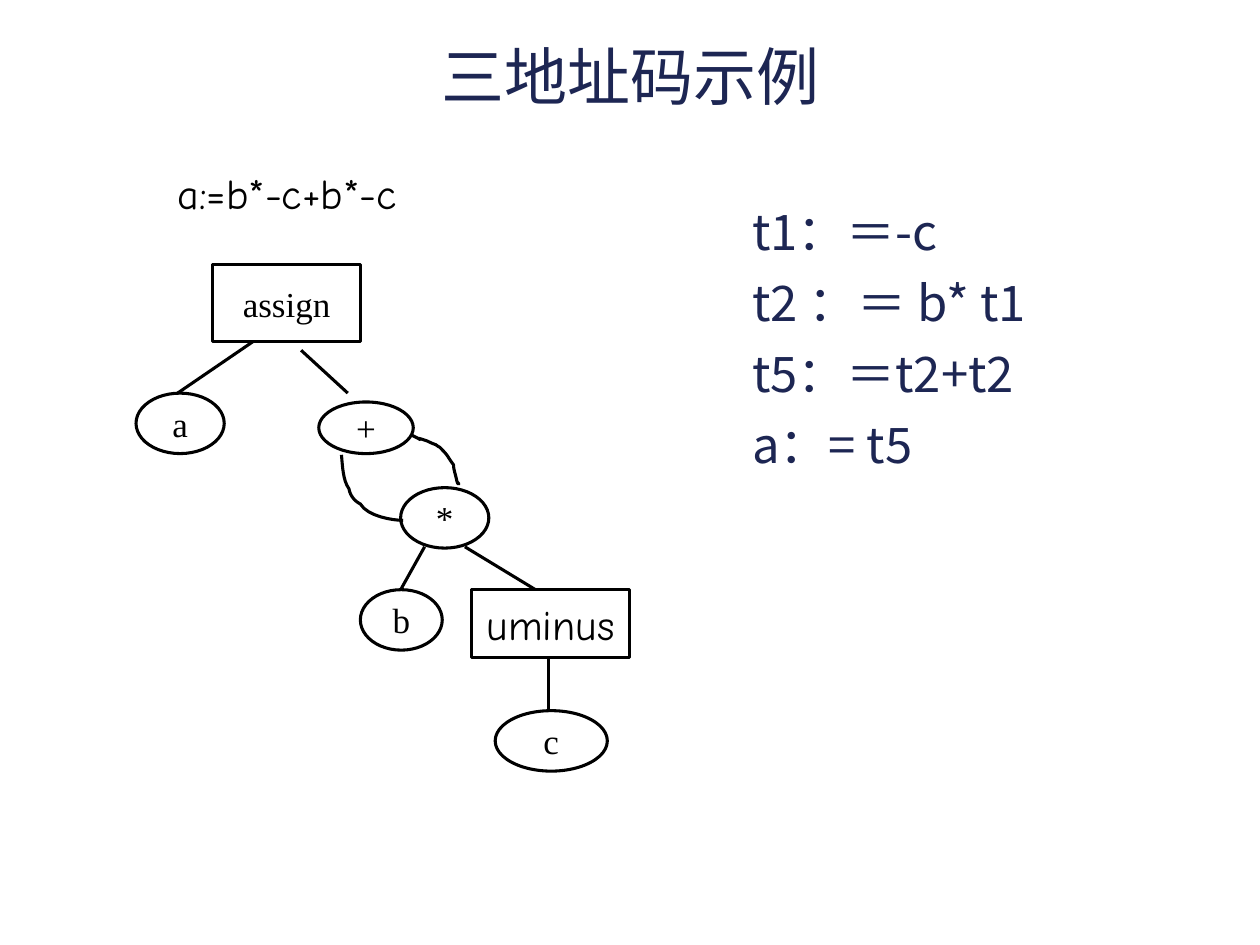
from typing import NamedTuple

from pptx import Presentation
from pptx.dml.color import RGBColor
from pptx.enum.shapes import MSO_CONNECTOR as Link, MSO_SHAPE as Shape
from pptx.enum.text import MSO_ANCHOR as Anchor, PP_ALIGN as Align
from pptx.oxml.ns import qn
from pptx.util import Emu, Inches, Pt
from lxml.etree import SubElement

COLS = 100
UNIT = Inches(10) // COLS
BLACK, WHITE, NAVY = "000000", "FFFFFF", "1D2653"
SERIF, COMIC, SANS = "Times New Roman", "Comic Neue", "Noto Sans CJK SC"
Point = tuple[float, float]


class Node(NamedTuple):
    text: str
    col: float
    row: float
    cols: float
    rows: float = 4.8
    kind: Shape = Shape.OVAL
    font: str = SERIF
    size: int = 20


class Edge(NamedTuple):
    start: Point
    end: Point


class Curve(NamedTuple):
    start: Point
    segments: list[tuple[Point, Point, Point]]


NODES = [
    Node("assign", 16.9, 21, 11.7, 6.1, Shape.RECTANGLE),
    Node("a", 10.8, 31.2, 7),
    Node("+", 25.3, 31.9, 7.5, 4.1),
    Node("*", 31.8, 38.7, 7),
    Node("b", 28.6, 46.8, 6.5),
    Node("c", 39.3, 56.4, 8.9),
    Node("uminus", 37.4, 46.8, 12.6, 5.4, Shape.RECTANGLE, COMIC, 24),
]
EDGES = [
    Edge((20.1, 27.1), (14.1, 31.2)),
    Edge((23.9, 27.8), (27.6, 31.2)),
    Edge((33.7, 43.4), (31.8, 46.8)),
    Edge((36.9, 43.4), (42.5, 46.8)),
    Edge((43.5, 52.3), (43.5, 56.4)),
]
CURVES = [
    Curve((27.1, 36.1), [
        ((27.2, 37), (27.2, 38.1), (27.7, 38.8)),
        ((27.8, 39.4), (28.2, 39.8), (28.6, 40)),
        ((29.2, 41), (31.2, 41.3), (32, 41.3)),
    ]),
    Curve((32.6, 34.5), [
        ((34.4, 35.4), (32.2, 34.4), (33.9, 35)),
        ((34.1, 35.1), (34.3, 35.2), (34.6, 35.3)),
        ((34.7, 35.4), (34.9, 35.5), (34.9, 35.5)),
        ((35.7, 36.3), (35.4, 36.1), (36, 36.9)),
        ((36, 37.2), (36.1, 37.5), (36.2, 37.9)),
        ((36.4, 38.9), (36.4, 38), (36.4, 38.5)),
    ]),
]
CODE = ["t1：＝-c", "t2 ：＝ b* t1", "t5：＝t2+t2", "a：= t5"]


def grid(*values: float) -> list[Emu]:
    return [Emu(round(v * UNIT)) for v in values]


def rgb(color: str) -> RGBColor:
    return RGBColor.from_string(color)


def set_font(p, name: str, size: int, color: str) -> None:
    p.font.name, p.font.size = name, Pt(size)
    p.font.color.rgb = rgb(color)


def set_line(sp) -> None:
    sp.line.color.rgb = rgb(BLACK)
    sp.line.width = Pt(1.75)


def draw_node(shapes, node: Node) -> None:
    sp = shapes.add_shape(node.kind, *grid(node.col, node.row, node.cols, node.rows))
    sp.shadow.inherit = False
    sp.fill.solid()
    sp.fill.fore_color.rgb = rgb(WHITE)
    set_line(sp)
    tf = sp.text_frame
    tf.word_wrap, tf.vertical_anchor = False, Anchor.MIDDLE
    p = tf.paragraphs[0]
    p.text, p.alignment = node.text, Align.CENTER
    set_font(p, node.font, node.size, BLACK)


def draw_edge(shapes, edge: Edge) -> None:
    sp = shapes.add_connector(Link.STRAIGHT, *grid(*edge.start, *edge.end))
    set_line(sp)
    SubElement(sp._element.spPr, qn("a:effectLst"))


def bezier(a: Point, b: Point, c: Point, d: Point, t: float) -> list[Emu]:
    u = 1 - t
    return grid(*(u**3 * w + 3 * u * u * t * x + 3 * u * t * t * y + t**3 * z
                  for w, x, y, z in zip(a, b, c, d)))


def draw_curve(shapes, curve: Curve, steps: int = 8) -> None:
    points, start = [], curve.start
    for b, c, d in curve.segments:
        points += [bezier(start, b, c, d, i / steps) for i in range(1, steps + 1)]
        start = d
    builder = shapes.build_freeform(*grid(*curve.start))
    builder.add_line_segments(points, close=False)
    sp = builder.convert_to_shape()
    sp.shadow.inherit = False
    sp.fill.background()
    set_line(sp)


def add_text(shapes, box: tuple[float, ...], lines: list[str], font: str,
             size: int, color: str, wrap: bool):
    tf = shapes.add_textbox(*grid(*box)).text_frame
    tf.word_wrap = wrap
    for i, line in enumerate(lines):
        p = tf.add_paragraph() if i else tf.paragraphs[0]
        p.text = line
        set_font(p, font, size, color)
    return tf


def main() -> None:
    prs = Presentation()
    prs.slide_width, prs.slide_height = Inches(10), Inches(7.5)
    s = prs.slides.add_slide(prs.slide_layouts[5])

    title = s.shapes.title
    title.left, title.top, title.width, title.height = grid(7.5, 2.8, 85, 6.4)
    title.text_frame.vertical_anchor = Anchor.MIDDLE
    p = title.text_frame.paragraphs[0]
    p.text, p.alignment = "三地址码示例", Align.CENTER
    set_font(p, SERIF, 36, NAVY)

    tree = s.shapes.add_group_shape().shapes
    for node in NODES:
        draw_node(tree, node)
    for edge in EDGES:
        draw_edge(tree, edge)
    for curve in CURVES:
        draw_curve(tree, curve)

    tf = add_text(s.shapes, (58.7, 15.5, 31.5, 22.6), CODE, SANS, 28, NAVY, True)
    for i, p in enumerate(tf.paragraphs):
        p.line_spacing = Pt(33.6)
        if i:
            p.space_before = Pt(7)
        for r in p.runs:
            SubElement(r.font._element, qn("a:ea"), typeface=SANS)
    add_text(s.shapes, (13.1, 12.8, 19.4, 5), ["a:=b*-c+b*-c"], COMIC, 24, BLACK, False)

    prs.save("out.pptx")


if __name__ == "__main__":
    main()
